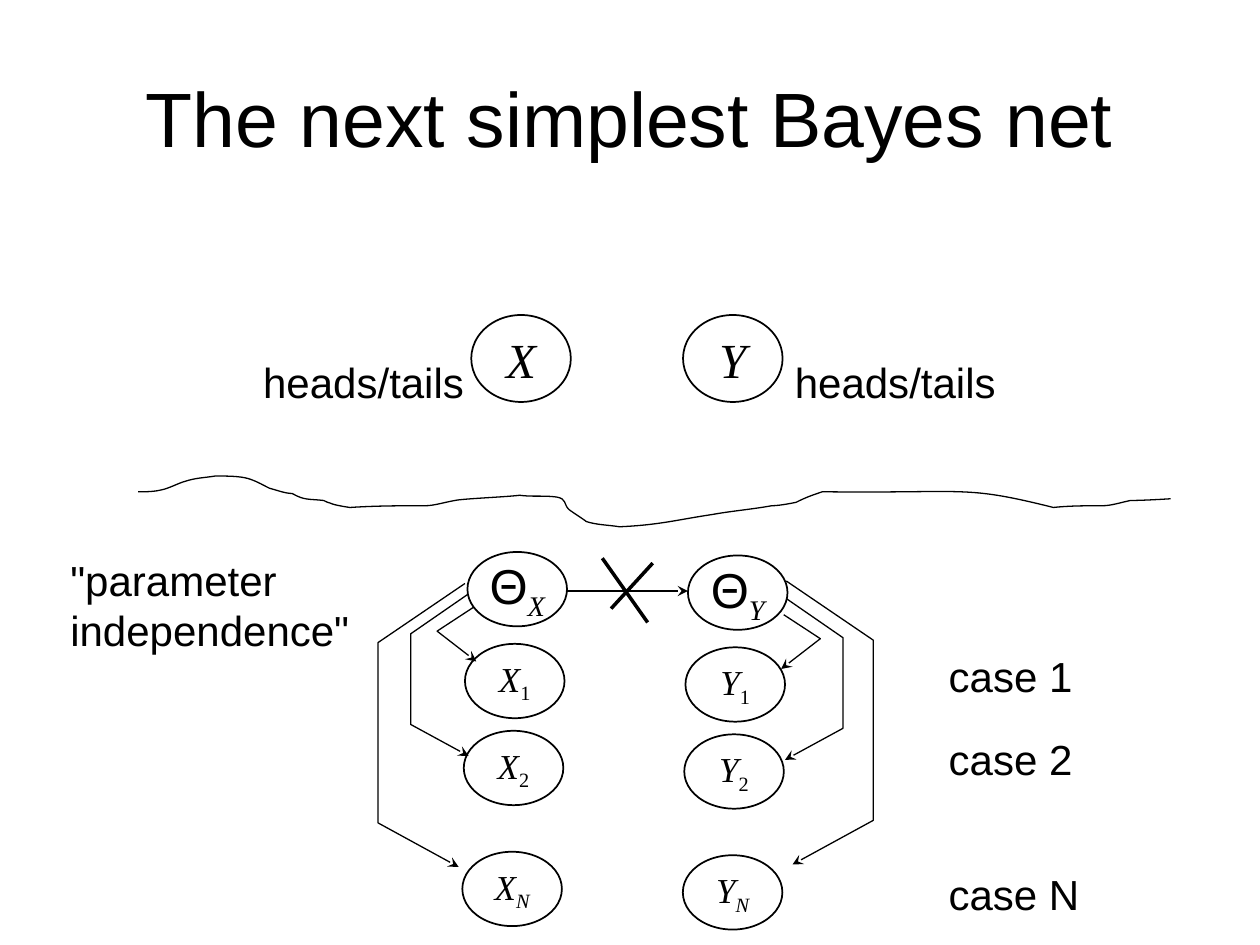
"""Build the slide about the next simplest Bayes net."""
from lxml.etree import SubElement
from pptx import Presentation
from pptx.dml.color import RGBColor
from pptx.enum.shapes import MSO_CONNECTOR, MSO_SHAPE
from pptx.enum.text import MSO_ANCHOR, MSO_AUTO_SIZE, PP_ALIGN
from pptx.oxml.ns import qn
from pptx.util import Pt

COLORS = {"ink": "000000", "background": "FFFFFF"}
SANS, SERIF = "Arial", "Times New Roman"


def write(shape, text, size=24, font=SANS, italic=False, subscript="", subscript_italic=False,
          align=PP_ALIGN.LEFT, anchor=MSO_ANCHOR.TOP, wrap=False, grow=False):
    frame = shape.text_frame
    frame.word_wrap = wrap
    frame.vertical_anchor = anchor
    frame.auto_size = MSO_AUTO_SIZE.SHAPE_TO_FIT_TEXT if grow else MSO_AUTO_SIZE.NONE
    for index, line in enumerate(text.split("\n")):
        paragraph = frame.add_paragraph() if index else frame.paragraphs[0]
        paragraph.alignment = align
        parts = [(line, font, italic)]
        if subscript:
            parts.append((subscript, SERIF, subscript_italic))
        for position, (part, typeface, slanted) in enumerate(parts):
            run = paragraph.add_run()
            run.text = part
            run.font.name = typeface
            run.font.size = Pt(size)
            run.font.italic = slanted
            run.font.color.rgb = RGBColor.from_string(COLORS["ink"])
            if position:
                run.font._element.set("baseline", "-25000")


def outline(shape, width, arrow=False):
    shape.line.color.rgb = RGBColor.from_string(COLORS["ink"])
    shape.line.width = Pt(width)
    properties = shape.element.spPr
    if arrow:
        SubElement(properties.find(qn("a:ln")), qn("a:tailEnd"), type="stealth")
    if properties.find(qn("a:effectLst")) is None:
        SubElement(properties, qn("a:effectLst"))


presentation = Presentation()
presentation.slide_width, presentation.slide_height = Pt(720), Pt(540)
slide = presentation.slides.add_slide(presentation.slide_layouts[6])
slide.background.fill.solid()
slide.background.fill.fore_color.rgb = RGBColor.from_string(COLORS["background"])
shapes = slide.shapes

title = shapes.add_textbox(Pt(36), Pt(21.6), Pt(648), Pt(90))
write(title, "The next simplest Bayes net", size=44, align=PP_ALIGN.CENTER,
      anchor=MSO_ANCHOR.MIDDLE, wrap=True)

labels = [
    ("heads/tails", 143.3, 200.2, 128.9, 36), ("heads/tails", 447.1, 200.2, 128.9, 36),
    ("case 1", 535, 367.9, 85, 36), ("case 2", 535, 415.4, 85, 36),
    ("case N", 535, 492.5, 89.3, 36), ('"parameter\nindependence"', 33.1, 313.2, 173.5, 64.8),
]
for text, left, top, width, height in labels:
    label = shapes.add_textbox(Pt(left), Pt(top), Pt(width), Pt(height))
    write(label, text, grow=True)

nodes = []
for column, variable in enumerate("XY"):
    shift, drop = 126 * column, 2 * column
    nodes += [
        (269.3 + 121 * column, 180, 49.7, dict(text=variable, size=28, font=SERIF, italic=True)),
        (267.1 + shift, 315.4 + drop, 42.5,
         dict(text="Θ", size=28, subscript=variable, subscript_italic=True)),
    ]
    for left, top, case in [(265.7, 367.9, "1"), (265, 417.6, "2"), (264.2, 486.7, "N")]:
        nodes.append((left + shift, top + drop, 42.5,
                      dict(text=variable, size=20, font=SERIF, italic=True,
                           subscript=case, subscript_italic=case == "N")))
for left, top, height, wording in nodes:
    node = shapes.add_shape(MSO_SHAPE.OVAL, Pt(left), Pt(top), Pt(56.9), Pt(height))
    node.shadow.inherit = False
    node.fill.background()
    outline(node, 1)
    write(node, align=PP_ALIGN.CENTER, anchor=MSO_ANCHOR.MIDDLE, **wording)

left_arrows = [
    ([(270.7, 347), (249.8, 360.7), (272.2, 378)], 718.6, 4.3),
    ([(267.1, 339.8), (234.7, 362.2), (234.7, 414), (267.8, 432)], 716.4, 2.2),
    ([(265.7, 333.4), (216, 367.2), (216, 470.2), (262.1, 495.4)], 715, -1.4),
]
for points, mirror, drop in left_arrows:
    for route in (points, [(mirror - x, y + drop) for x, y in points]):
        corners = [(Pt(x), Pt(y)) for x, y in route]
        builder = shapes.build_freeform(*corners[0], scale=1.0)
        builder.add_line_segments(corners[1:], close=False)
        arrow = builder.convert_to_shape()
        arrow.shadow.inherit = False
        arrow.fill.background()
        outline(arrow, 0.75, arrow=True)

wave_points = [
    (79, 281), (84, 281), (88, 281), (92, 280), (97, 279), (102, 276), (106, 275),
    (112, 273), (117, 273), (123, 272), (129, 272), (135, 272), (140, 273),
    (145, 274), (150, 277), (154, 279), (158, 280), (163, 282), (167, 282),
    (174, 286), (176, 285), (185, 286), (186, 287), (188, 287), (190, 288),
    (193, 289), (200, 290), (200, 290), (215, 289), (229, 289), (243, 289),
    (248, 289), (254, 287), (260, 286), (264, 285), (289, 284), (297, 283),
    (304, 284), (311, 283), (318, 284), (324, 285), (322, 288), (325, 291),
    (326, 292), (334, 297), (335, 298), (341, 300), (348, 300), (354, 301),
    (377, 300), (387, 297), (407, 294), (418, 292), (430, 291), (441, 289),
    (446, 289), (455, 287), (455, 287), (461, 284), (464, 283), (470, 281),
    (554, 282), (550, 277), (602, 290), (611, 289), (621, 289), (630, 289),
    (635, 289), (641, 287), (646, 286), (654, 286), (669, 285), (669, 285),
]
corners = [(Pt(x), Pt(y)) for x, y in wave_points]
builder = shapes.build_freeform(*corners[0], scale=1.0)
builder.add_line_segments(corners[1:], close=False)
wave = builder.convert_to_shape()
wave.shadow.inherit = False
wave.fill.background()
outline(wave, 0.75)
wave_outline = next(wave.element.iter(qn("a:path")))
segments = wave_outline.findall(qn("a:lnTo"))
for start in range(0, len(segments), 3):
    curve = SubElement(wave_outline, qn("a:cubicBezTo"))
    for segment in segments[start:start + 3]:
        curve.append(segment[0])
        wave_outline.remove(segment)

lines = [
    (323.3, 337.7, 393.1, 337.7, 0.75, True),
    (344.2, 319, 370.1, 355.7, 2, False),
    (373, 321.8, 349.2, 347.8, 2, False),
]
for start_x, start_y, end_x, end_y, width, has_arrow in lines:
    connector = shapes.add_connector(MSO_CONNECTOR.STRAIGHT, Pt(start_x), Pt(start_y),
                                     Pt(end_x), Pt(end_y))
    outline(connector, width, arrow=has_arrow)

presentation.save("out.pptx")
